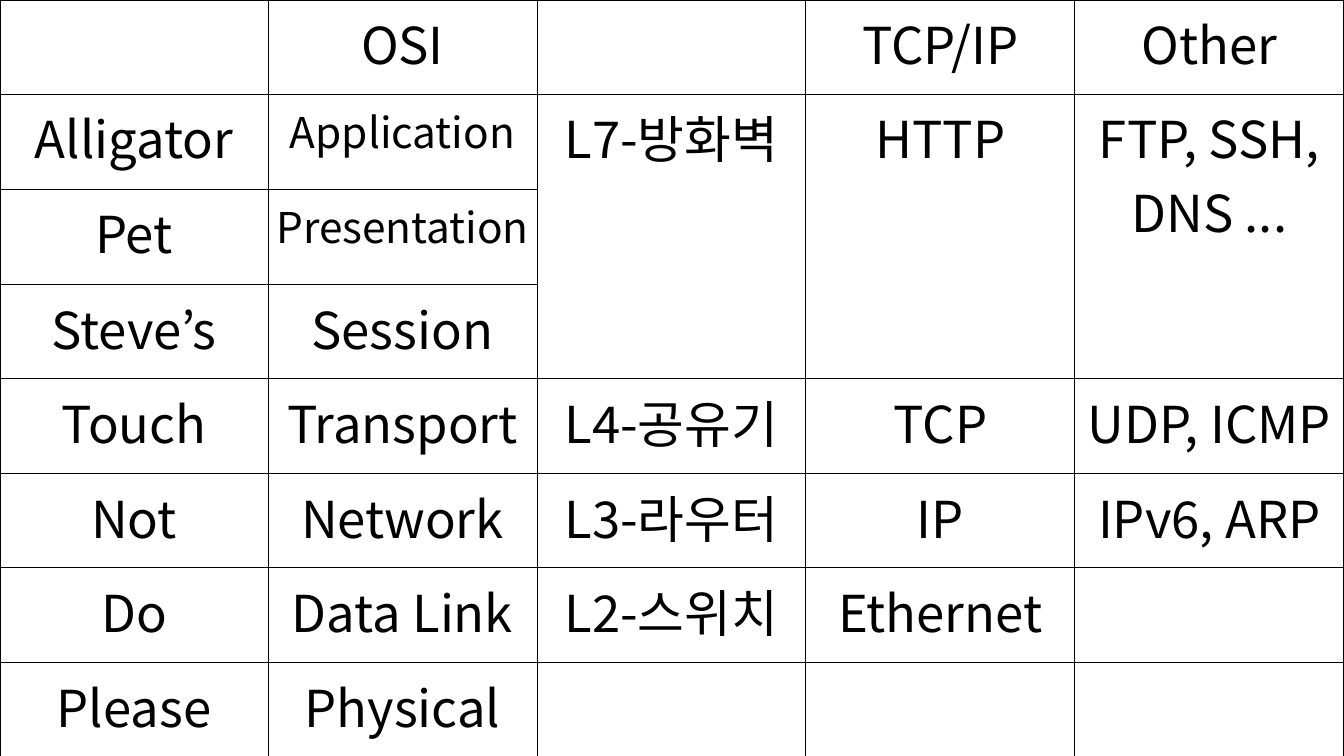
from lxml.etree import SubElement
from pptx import Presentation
from pptx.dml.color import RGBColor
from pptx.enum.text import MSO_ANCHOR as Anchor, PP_ALIGN as Align
from pptx.oxml import parse_xml
from pptx.oxml.ns import nsdecls, qn
from pptx.util import Emu, Pt

SLIDE_WIDTH, SLIDE_HEIGHT = 1344, 756
ROW_HEIGHTS = [94, 95, 96, 94, 95, 94, 95, 94]
LAYERS = [
    ["", "OSI", "", "TCP/IP", "Other"],
    ["Alligator", "Application", "L7-방화벽", "HTTP", "FTP, SSH, DNS ..."],
    ["Pet", "Presentation", "", "", ""],
    ["Steve’s", "Session", "", "", ""],
    ["Touch", "Transport", "L4-공유기", "TCP", "UDP, ICMP"],
    ["Not", "Network", "L3-라우터", "IP", "IPv6, ARP"],
    ["Do", "Data Link", "L2-스위치", "Ethernet", ""],
    ["Please", "Physical", "", "", ""],
]
LONG_NAMES = {"Application", "Presentation"}
APPLICATION_ROWS = (1, 3)
MERGED_COLUMNS = (2, 3, 4)


def px(length):
    return Emu(round(length * 914400 / 122))


def color(hex_code):
    return RGBColor.from_string(hex_code)


class LayerSlide:
    font = "Noto Sans CJK KR"
    ink = "000000"
    size, small_size = 30, 25
    border_width = Pt(0.57)

    def __init__(self, deck):
        self.slide = deck.slides.add_slide(deck.slide_layouts[6])

    def table(self, rows, width, row_heights):
        columns = len(rows[0])
        frame = self.slide.shapes.add_table(
            len(rows), columns, 0, 0, px(width), px(sum(row_heights)))
        table = frame.table
        table.first_row = table.horz_banding = False
        for index, column in enumerate(table.columns):
            column.width = px(width * (index + 1) // columns - width * index // columns)
        for row, height in zip(table.rows, row_heights):
            row.height = px(height)
        for r, texts in enumerate(rows):
            for c, text in enumerate(texts):
                self.cell(table.cell(r, c), text)
        return table

    def cell(self, cell, text):
        cell.margin_left = cell.margin_right = px(5)
        cell.margin_top = cell.margin_bottom = px(6)
        cell.vertical_anchor = Anchor.TOP
        cell.fill.background()
        self.borders(cell)
        if text:
            self.run(cell.text_frame.paragraphs[0], text)

    def run(self, paragraph, text):
        paragraph.alignment = Align.CENTER
        run = paragraph.add_run()
        run.text = text
        font = run.font
        font.name = self.font
        font.size = Pt(self.small_size if text in LONG_NAMES else self.size)
        font.color.rgb = color(self.ink)
        # Hangul takes its typeface from the East Asian font slot
        SubElement(run._r.get_or_add_rPr(), qn("a:ea"), typeface=self.font)

    def borders(self, cell):
        properties = cell._tc.get_or_add_tcPr()
        for position, side in enumerate(("lnL", "lnR", "lnT", "lnB")):
            properties.insert(position, parse_xml(
                f'<a:{side} {nsdecls("a")} w="{self.border_width}"><a:solidFill>'
                f'<a:srgbClr val="{self.ink}"/></a:solidFill></a:{side}>'))


def main():
    deck = Presentation()
    deck.slide_width, deck.slide_height = px(SLIDE_WIDTH), px(SLIDE_HEIGHT)
    layers = LayerSlide(deck).table(LAYERS, SLIDE_WIDTH, ROW_HEIGHTS)
    first, last = APPLICATION_ROWS
    for column in MERGED_COLUMNS:
        layers.cell(first, column).merge(layers.cell(last, column))
    deck.save("out.pptx")


if __name__ == "__main__":
    main()
